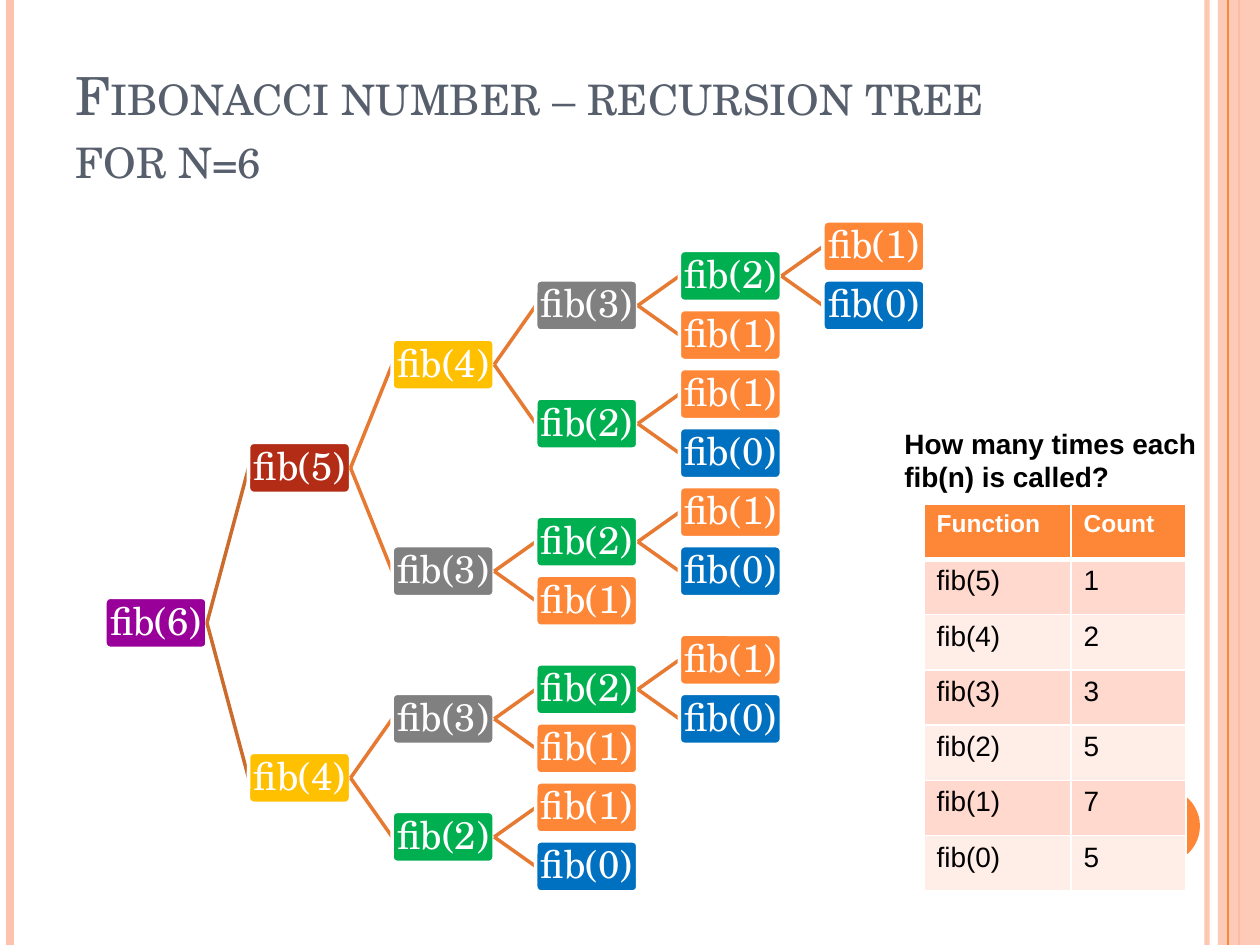
from lxml import etree
from pptx import Presentation
from pptx import util as u
from pptx.dml.color import RGBColor
from pptx.enum import shapes, text
from pptx.oxml import ns

EMU_PER_PX = 914400 / 126
SERIF, SANS = "TeX Gyre Schola", "Arial"

WHITE = RGBColor(0xFF, 0xFF, 0xFF)
BLACK = RGBColor(0x00, 0x00, 0x00)
SLATE = RGBColor(0x57, 0x5F, 0x6D)
ORANGE = RGBColor(0xFE, 0x86, 0x37)
PEACH = RGBColor(0xFE, 0xC3, 0xAE)
ROOT_BRANCH = RGBColor(0xCB, 0x6B, 0x2C)
BRANCH = RGBColor(0xE7, 0x7A, 0x32)
BAND_FILLS = (RGBColor(0xFF, 0xD9, 0xCE), RGBColor(0xFF, 0xED, 0xE8))
CALL_FILLS = (  # indexed by n
    RGBColor(0x00, 0x70, 0xC0),
    ORANGE,
    RGBColor(0x00, 0xB0, 0x50),
    RGBColor(0x80, 0x80, 0x80),
    RGBColor(0xFF, 0xC0, 0x00),
    RGBColor(0xB3, 0x2C, 0x16),
    RGBColor(0x99, 0x00, 0x99),
)


def px(length):
    return u.Emu(round(length * EMU_PER_PX))


def set_font(font, name, size, color, bold=False):
    font.name, font.size, font.bold = name, u.Pt(size), bold
    font.color.rgb = color


def set_opacity(shape, percent):
    """Apply opacity to the solid colour of a shape or a line."""
    color = shape._element.spPr.find(".//" + ns.qn("a:srgbClr"))
    etree.SubElement(color, ns.qn("a:alpha"), val=str(percent * 1000))


def add_line(page, start, end, color, width):
    line = page.shapes.add_connector(
        shapes.MSO_CONNECTOR.STRAIGHT, *map(px, start + end))
    line.line.color.rgb = color
    line.line.width = u.Pt(width)
    etree.SubElement(line._element.spPr, ns.qn("a:effectLst"))
    return line


def add_filled(page, kind, box, color):
    shape = page.shapes.add_shape(kind, *map(px, box))
    shape.shadow.inherit = False
    shape.fill.solid()
    shape.fill.fore_color.rgb = color
    shape.line.fill.background()
    return shape


def add_side_bars(page, box):
    left, top, width, height = box
    right = left + width

    def rule(x, color, line_width):
        return add_line(page, (x, top), (x, top + height), color, line_width)

    set_opacity(rule(right - 53, PEACH, 3), 93)
    rule(left + 10, PEACH, 4.5)
    rule(right - 21, ORANGE, 1.5)
    band = add_filled(page, shapes.MSO_SHAPE.RECTANGLE,
                      (right - 42, top, 42, height), PEACH)
    set_opacity(band, 87)
    rule(right - 32, ORANGE, 0.75)
    add_filled(page, shapes.MSO_SHAPE.OVAL, (right - 136, top + 788, 76, 76), ORANGE)


def add_title(page, box, words):
    title = page.shapes.title
    title.left, title.top, title.width, title.height = map(px, box)
    frame = title.text_frame
    frame.auto_size = text.MSO_AUTO_SIZE.NONE
    frame.vertical_anchor = text.MSO_ANCHOR.BOTTOM
    para = frame.paragraphs[0]
    para.alignment = text.PP_ALIGN.LEFT
    span = para.add_run()
    span.text = words
    set_font(span.font, SERIF, 30, SLATE)
    span._r.get_or_add_rPr().set("cap", "small")


def plan_calls(n, leaves, depth=0):
    """Return (n, depth, row, children); leaves collects (depth, row).

    A leaf sits two rows below the last one, or one row if that one is deeper.
    """
    if n < 2:
        row = 0
        if leaves:
            last_depth, last_row = leaves[-1]
            row = last_row + (1 if last_depth > depth else 2)
        leaves.append((depth, row))
        return n, depth, row, []
    children = [plan_calls(n - less, leaves, depth + 1) for less in (1, 2)]
    return n, depth, sum(child[2] for child in children) / 2, children


def add_call(page, box, n):
    node = add_filled(page, shapes.MSO_SHAPE.ROUNDED_RECTANGLE, box, CALL_FILLS[n])
    node.adjustments[0] = 0.1
    node.line.color.rgb = WHITE
    node.line.width = u.Pt(2)
    frame = node.text_frame
    frame.word_wrap = False
    frame.vertical_anchor = text.MSO_ANCHOR.MIDDLE
    frame.margin_left = frame.margin_right = px(3)
    frame.margin_top = frame.margin_bottom = px(3)
    para = frame.paragraphs[0]
    para.text = f"fib({n})"
    para.alignment = text.PP_ALIGN.CENTER
    para.line_spacing = 0.9
    set_font(para.font, SERIF, 22, WHITE)


def add_recursion_tree(page, box, root_n):
    left, top, width, height = box
    node_width, node_height = 102, 51
    leaves = []
    root = plan_calls(root_n, leaves)
    column_step = (width - node_width) / max(depth for depth, _ in leaves)
    row_step = (height - node_height) / leaves[-1][1]

    def corner(call):
        return left + call[1] * column_step, top + call[2] * row_step

    def draw(call):
        n, depth, _, children = call
        x, y = corner(call)
        add_call(page, (x, y, node_width, node_height), n)
        for child in children:
            child_x, child_y = corner(child)
            add_line(page, (x + node_width, y + node_height / 2),
                     (child_x, child_y + node_height / 2),
                     BRANCH if depth else ROOT_BRANCH, 2)
            draw(child)

    draw(root)


def format_cell(cell, fill, borders):
    """Set fill and white borders; borders maps a side to a width in points."""
    properties = cell._tc.get_or_add_tcPr()
    for side, width in borders.items():
        edge = etree.SubElement(properties, ns.qn(f"a:ln{side}"), w=str(u.Pt(width)))
        solid = etree.SubElement(edge, ns.qn("a:solidFill"))
        etree.SubElement(solid, ns.qn("a:srgbClr"), val=str(WHITE))
    cell.fill.solid()
    cell.fill.fore_color.rgb = fill


def add_count_table(page, box, rows):
    table = page.shapes.add_table(len(rows), 2, *map(px, box)).table
    table.horz_banding = False
    for column, width in zip(table.columns, (147, box[2] - 147)):
        column.width = px(width)
    for r, values in enumerate(rows):
        table.rows[r].height = px(box[3] / len(rows))
        fill = BAND_FILLS[(r - 1) % 2] if r else ORANGE
        borders = {"L": 1, "R": 1, "T": 3 if r == 1 else 1, "B": 1 if r else 3}
        for c, value in enumerate(values):
            cell = table.cell(r, c)
            format_cell(cell, fill, borders)
            para = cell.text_frame.paragraphs[0]
            para.text = value
            if r:
                set_font(para.font, SANS, 16, BLACK)
            else:
                set_font(para.font, SANS, 14, WHITE, bold=True)


def add_question(page, box, words):
    frame = page.shapes.add_textbox(*map(px, box)).text_frame
    frame.word_wrap = True
    para = frame.paragraphs[0]
    para.text = words
    set_font(para.font, SANS, 16, BLACK, bold=True)


def main():
    deck = Presentation()
    deck.slide_width, deck.slide_height = px(1260), px(945)
    page = deck.slides.add_slide(deck.slide_layouts[5])
    add_side_bars(page, (0, 0, 1260, 945))
    add_title(page, (63, 38, 1029, 157), "Fibonacci number – recursion tree for n=6")
    add_recursion_tree(page, (105, 221, 820, 671), 6)
    counts = {5: 1, 4: 2, 3: 3, 2: 5, 1: 7, 0: 5}
    rows = [("Function", "Count")]
    rows += [(f"fib({n})", str(count)) for n, count in counts.items()]
    add_count_table(page, (924, 504, 262, 387), rows)
    add_question(page, (892, 420, 346, 81), "How many times each fib(n) is called?")
    deck.save("out.pptx")


if __name__ == "__main__":
    main()
